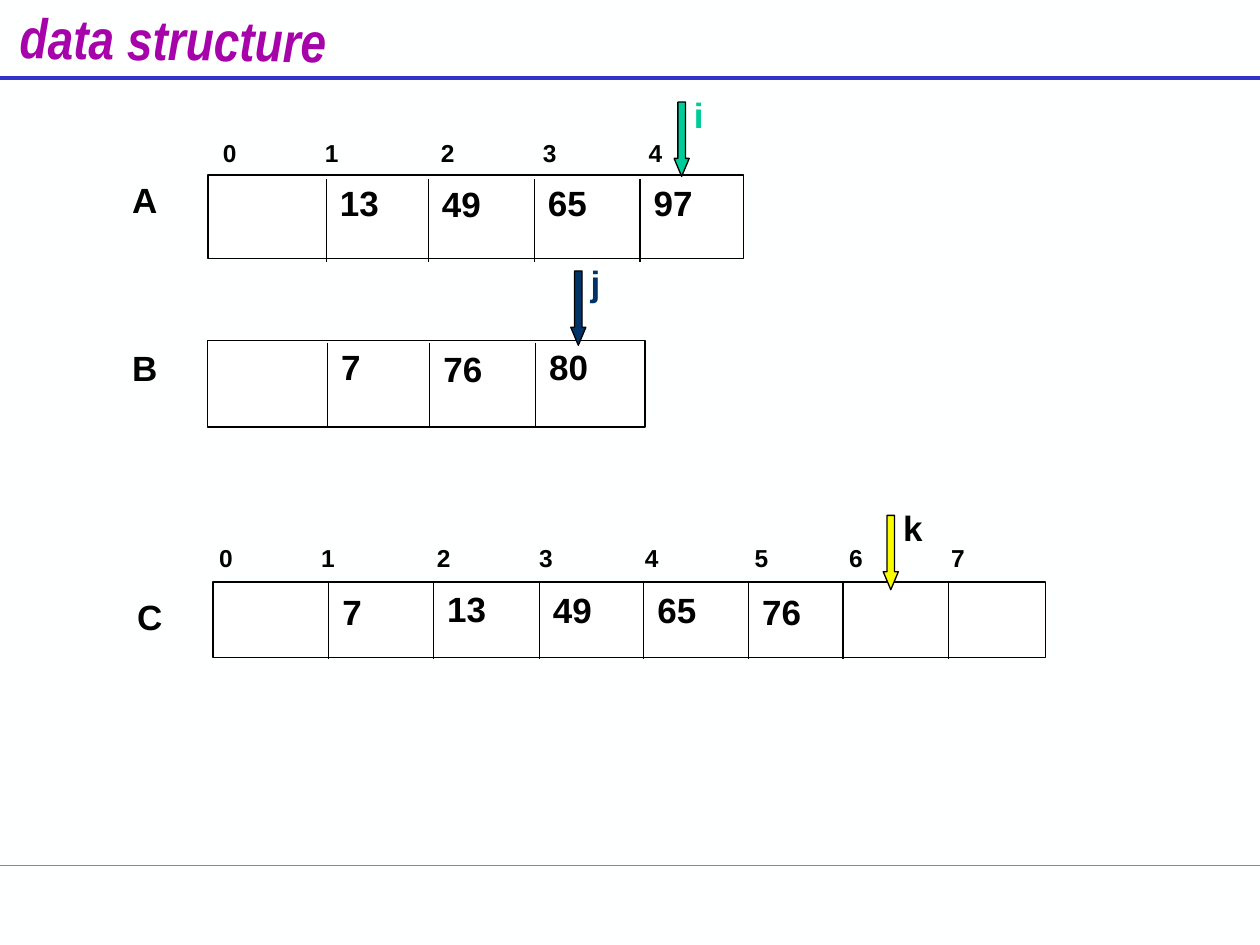
from lxml import etree
from pptx import Presentation
from pptx.dml.color import RGBColor
from pptx.enum.shapes import MSO_CONNECTOR as Connector, MSO_SHAPE as Shape
from pptx.oxml.ns import qn
from pptx.util import Inches, Pt

WHITE = RGBColor(0xFF, 0xFF, 0xFF)
PAPER = RGBColor(0xFE, 0xFF, 0xFF)
BLACK = RGBColor(0, 0, 0)
PURPLE = RGBColor(0xA6, 0x03, 0xAB)
BLUE = RGBColor(0x33, 0x33, 0xCC)
GREEN = RGBColor(0x00, 0xCC, 0x99)
NAVY = RGBColor(0x00, 0x33, 0x66)
YELLOW = RGBColor(0xFA, 0xFD, 0x00)

INDEX_STOPS = (0.81, 1.73, 2.54, 3.38, 4.25, 5, 5.81)
VALUE_FORMAT = {"name": "Arial", "size": Pt(20), "bold": True}
INDEX_FORMAT = {"name": "Arial", "size": Pt(14), "bold": True}
TITLE_FORMAT = {"name": "Arial Narrow", "size": Pt(32), "bold": True, "italic": True}

ARRAYS = (
    {"box": (1.65, 1.39, 4.25, 0.66), "name": "A", "name_drop": -0.02,
     "dividers": (0.94, 1.75, 2.59, 3.43), "divider_drop": 0.03, "divider_height": 0.66,
     "values": (("13", 0), ("49", 0.01), ("65", 0), ("97", 0))},
    {"box": (1.65, 2.7, 3.47, 0.69), "name": "B", "name_drop": 0,
     "dividers": (0.95, 1.76, 2.6), "divider_drop": 0.02, "divider_height": 0.66,
     "values": (("7", -0.01), ("76", 0.01), ("80", -0.01))},
    {"box": (1.69, 4.62, 6.61, 0.6), "name": "C", "name_drop": 0.06,
     "dividers": (0.92, 1.75, 2.59, 3.42, 4.25, 5, 5.84), "divider_drop": 0,
     "divider_height": 0.61,
     "values": (("7", 0.02), ("13", -0.01), ("49", 0), ("65", 0), ("76", 0.02))},
)


def add_text(slide, box, words, font_format, color=BLACK):
    holder = slide.shapes.add_textbox(*map(Inches, box))
    holder.text_frame.word_wrap = True
    run = holder.text_frame.paragraphs[0].add_run()
    run.text = words
    for attribute, setting in font_format.items():
        setattr(run.font, attribute, setting)
    run.font.color.rgb = color
    return holder


def add_rule(slide, start, end, color=BLACK, weight=0.75):
    rule = slide.shapes.add_connector(Connector.STRAIGHT, *map(Inches, start + end))
    rule.line.color.rgb = color
    rule.line.width = Pt(weight)
    etree.SubElement(rule._element.spPr, qn("a:effectLst"))


def add_outlined(slide, preset, box, fill):
    outlined = slide.shapes.add_shape(preset, *map(Inches, box))
    outlined.shadow.inherit = False
    outlined.fill.solid()
    outlined.fill.fore_color.rgb = fill
    outlined.line.color.rgb = BLACK
    outlined.line.width = Pt(0.75)
    return outlined


def draw_frame(slide, width):
    slide.background.fill.solid()
    slide.background.fill.fore_color.rgb = PAPER
    add_rule(slide, (0, 6.87), (width, 6.87), GREEN, 1)
    add_rule(slide, (0, 0.62), (width, 0.62), BLUE, 2.25)
    title = add_text(slide, (0.06, -0.01, 2.8, 0.54), "data structure",
                     TITLE_FORMAT, PURPLE)
    title.rotation = 0.8


def draw_indices(slide, box, count):
    indices = add_text(slide, box, "\t".join(map(str, range(count))), INDEX_FORMAT)
    properties = indices.text_frame.paragraphs[0]._p.get_or_add_pPr()
    tab_list = etree.SubElement(properties, qn("a:tabLst"))
    for stop in INDEX_STOPS[:count - 1]:
        etree.SubElement(tab_list, qn("a:tab"), pos=str(Inches(stop)), algn="l")


def draw_array(slide, box, name, name_drop, dividers, divider_drop, divider_height, values):
    left, top = box[:2]
    add_outlined(slide, Shape.RECTANGLE, box, WHITE)
    add_text(slide, (left - 0.7, top + name_drop, 0.67, 0.44), name, VALUE_FORMAT)
    divider_top = top + divider_drop
    for offset in dividers:
        x = left + offset
        add_rule(slide, (x, divider_top), (x, divider_top + divider_height))
    for offset, (value, drop) in zip(dividers, values):
        add_text(slide, (left + offset + 0.01, top + drop, 0.67, 0.44), value, VALUE_FORMAT)


def draw_pointer(slide, box, name, fill, name_color):
    left, top = box[:2]
    arrow = add_outlined(slide, Shape.DOWN_ARROW, box, fill)
    arrow.adjustments[0] = 0.5
    arrow.adjustments[1] = 1.19
    add_text(slide, (left + 0.06, top - 0.12, 0.53, 0.44), name, VALUE_FORMAT, name_color)


def main():
    presentation = Presentation()
    presentation.slide_width = Inches(10)
    presentation.slide_height = Inches(7.5)
    slide = presentation.slides.add_slide(presentation.slide_layouts[6])
    draw_frame(slide, 10)
    draw_indices(slide, (1.67, 1.05, 4.25, 0.34), 5)
    draw_indices(slide, (1.64, 4.26, 6.66, 0.34), 8)
    for array in ARRAYS:
        draw_array(slide, **array)
    draw_pointer(slide, (5.35, 0.81, 0.12, 0.59), "i", GREEN, GREEN)
    draw_pointer(slide, (4.53, 2.15, 0.12, 0.59), "j", NAVY, NAVY)
    draw_pointer(slide, (7.01, 4.09, 0.12, 0.59), "k", YELLOW, BLACK)
    presentation.save("out.pptx")


if __name__ == "__main__":
    main()
